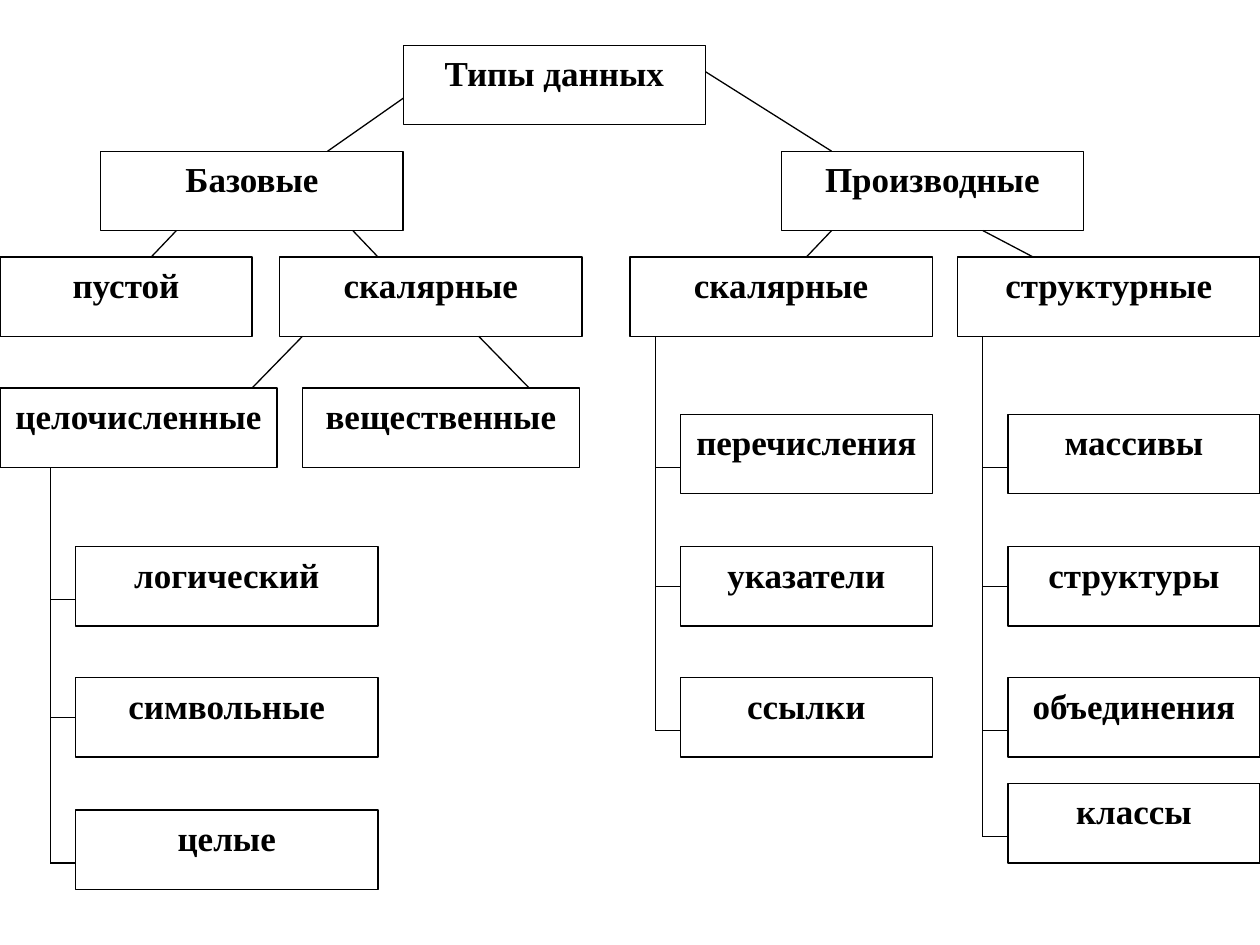
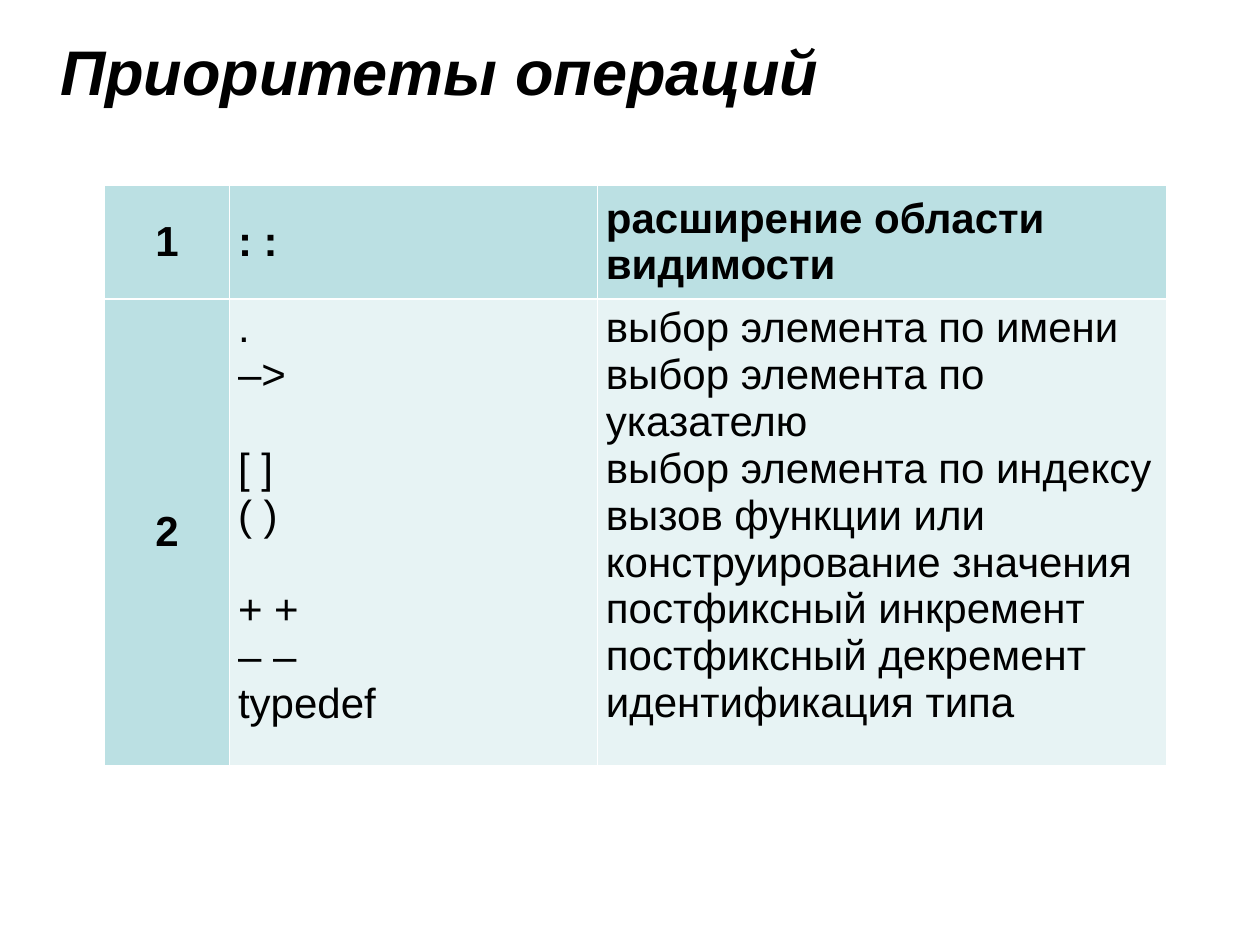
from lxml import etree
from pptx import Presentation
from pptx.dml.color import RGBColor
from pptx.enum.shapes import MSO_CONNECTOR, MSO_SHAPE
from pptx.enum.text import MSO_ANCHOR, PP_ALIGN
from pptx.oxml.ns import qn
from pptx.util import Inches, Pt

BLACK, WHITE = "000000", "FFFFFF"
TEAL, PALE_TEAL = "BBE0E3", "E7F3F4"
SANS, SERIF = "Arial", "Times New Roman"
BOX_HEIGHT = 0.63
STUB_DROP = 0.42
TRUNK_GAP = 0.2
LEVELS = (0.36, 1.2, 2.04, 3.08)


def color(value):
    """Turn a hex string into a colour."""
    return RGBColor.from_string(value)


def write(frame, text, font=SANS, size=24, bold=False, italic=False,
          align=PP_ALIGN.LEFT, gaps=()):
    """Write each line as a paragraph, with an extra line's space before those in gaps."""
    for index, line in enumerate(text.split("\n")):
        para = frame.add_paragraph() if index else frame.paragraphs[0]
        para.alignment = align
        if index in gaps:
            para.space_before = Pt(27)
        span = para.add_run()
        span.text = line
        span.font.name = font
        span.font.size = Pt(size)
        span.font.bold = bold
        span.font.italic = italic
        span.font.color.rgb = color(BLACK)


class Deck:
    """Hold the presentation, its style and the current page."""

    def __init__(self):
        """Start a deck of 10 by 7.5 inch pages."""
        self.deck = Presentation()
        self.deck.slide_width = Inches(10)
        self.deck.slide_height = Inches(7.5)
        self.page = None

    def add_page(self):
        """Add a blank page and make it current."""
        self.page = self.deck.slides.add_slide(self.deck.slide_layouts[6])

    def title(self, text):
        """Add the page title."""
        box = self.page.shapes.add_textbox(
            Inches(0.38), Inches(0.21), Inches(6.22), Inches(0.7))
        box.text_frame.word_wrap = False
        write(box.text_frame, text, size=36, bold=True, italic=True)

    def node(self, text, left, top, width=2.4):
        """Add a labelled box of the diagram."""
        box = self.page.shapes.add_shape(
            MSO_SHAPE.RECTANGLE, Inches(left), Inches(top), Inches(width), Inches(BOX_HEIGHT))
        box.shadow.inherit = False
        box.fill.solid()
        box.fill.fore_color.rgb = color(WHITE)
        box.line.color.rgb = color(BLACK)
        box.line.width = Pt(0.75)
        box.text_frame.word_wrap = True
        box.text_frame.vertical_anchor = MSO_ANCHOR.TOP
        write(box.text_frame, text, font=SERIF, size=20, bold=True, align=PP_ALIGN.CENTER)
        return box

    def line(self, x1, y1, x2, y2):
        """Add a thin black line."""
        line = self.page.shapes.add_connector(
            MSO_CONNECTOR.STRAIGHT, Inches(x1), Inches(y1), Inches(x2), Inches(y2))
        line.line.color.rgb = color(BLACK)
        line.line.width = Pt(0.75)
        etree.SubElement(line._element.spPr, qn("a:effectLst"))
        return line

    def branch(self, left, parent_top, width, children):
        """Hang child boxes on a trunk that drops from the parent box."""
        trunk = left - TRUNK_GAP
        for index, (text, top) in enumerate(children):
            box = self.node(text, left, top, width)
            middle = index == 1
            y = top + (BOX_HEIGHT / 2 if middle else STUB_DROP)
            stub = self.line(left, y, trunk, y)
            if middle:
                stub.begin_connect(box, 1)
        self.line(trunk, parent_top + BOX_HEIGHT, trunk, y)

    def cell(self, cell, text, fill, rules, anchor=MSO_ANCHOR.MIDDLE, **style):
        """Fill a table cell, with rule widths for its left, right, top and bottom."""
        cell.margin_left = cell.margin_right = Inches(0.07)
        cell.vertical_anchor = anchor
        properties = cell._tc.get_or_add_tcPr()
        for side, width in zip("LRTB", rules):
            rule = etree.SubElement(properties, qn(f"a:ln{side}"), w=str(Pt(width)))
            paint = etree.SubElement(rule, qn("a:solidFill"))
            etree.SubElement(paint, qn("a:srgbClr"), val=WHITE)
        cell.fill.solid()
        cell.fill.fore_color.rgb = color(fill)
        write(cell.text_frame, text, **style)

    def table(self, rows, left, top, widths, heights):
        """Add a table with a bold first row and first column."""
        table = self.page.shapes.add_table(
            len(rows), len(widths), Inches(left), Inches(top),
            Inches(sum(widths)), Inches(sum(heights))).table
        table.first_row = table.horz_banding = False
        for column, width in zip(table.columns, widths):
            column.width = Inches(width)
        for r, row in enumerate(rows):
            table.rows[r].height = Inches(heights[r])
            rules = (0.45, 0.45, 1.47, 0.45) if r else (0.45, 0.45, 0.45, 1.47)
            for c, (text, gaps) in enumerate(row):
                heading = r == 0 or c == 0
                self.cell(
                    table.cell(r, c), text, TEAL if heading else PALE_TEAL, rules,
                    anchor=MSO_ANCHOR.MIDDLE if heading else MSO_ANCHOR.TOP,
                    bold=heading, gaps=gaps,
                    align=PP_ALIGN.LEFT if c else PP_ALIGN.CENTER)


def data_types(deck):
    """Draw the tree of data types."""
    deck.add_page()
    root, group, kind, number = LEVELS
    for text, left, top, width in (
            ("Типы данных", 3.2, root, 2.4),
            ("Базовые", 0.8, group, 2.4),
            ("Производные", 6.2, group, 2.4),
            ("пустой", 0, kind, 2),
            ("скалярные", 2.22, kind, 2.4),
            ("скалярные", 5, kind, 2.4),
            ("структурные", 7.6, kind, 2.4),
            ("целочисленные", 0, number, 2.2),
            ("вещественные", 2.4, number, 2.2)):
        deck.node(text, left, top, width)
    deck.line(3.2, 0.78, 2.6, group)
    deck.line(5.6, 0.57, 6.6, group)
    for x1, x2, upper, lower in (
            (1.4, 1.2, group, kind),
            (2.8, 3, group, kind),
            (6.6, 6.4, group, kind),
            (7.8, 8.2, group, kind),
            (2.4, 2, kind, number),
            (3.8, 4.2, kind, number)):
        deck.line(x1, upper + BOX_HEIGHT, x2, lower)
    deck.branch(0.6, number, 2.4, (
        ("логический", 4.34), ("символьные", 5.38), ("целые", 6.43)))
    deck.branch(5.4, kind, 2, (
        ("перечисления", 3.29), ("указатели", 4.34), ("ссылки", 5.38)))
    deck.branch(8, kind, 2, (
        ("массивы", 3.29), ("структуры", 4.34), ("объединения", 5.38), ("классы", 6.22)))


def priorities(deck):
    """Show the table of operator priorities."""
    deck.add_page()
    deck.title("Приоритеты операций")
    operators = "\n".join((".", "–>", "[ ]", "( )", "+ +", "– –", "typedef"))
    meanings = "\n".join((
        "выбор элемента по имени",
        "выбор элемента по указателю",
        "выбор элемента по индексу",
        "вызов функции или конструирование значения",
        "постфиксный инкремент",
        "постфиксный декремент",
        "идентификация типа"))
    rows = (
        (("1", ()), (": :", ()), ("расширение области видимости", ())),
        (("2", ()), (operators, (2, 4)), (meanings, ())))
    deck.table(rows, 0.83, 1.47, (0.99, 2.92, 4.52), (0.9, 3.7))


def main():
    """Build and save the deck."""
    deck = Deck()
    data_types(deck)
    priorities(deck)
    deck.deck.save("out.pptx")


if __name__ == "__main__":
    main()
